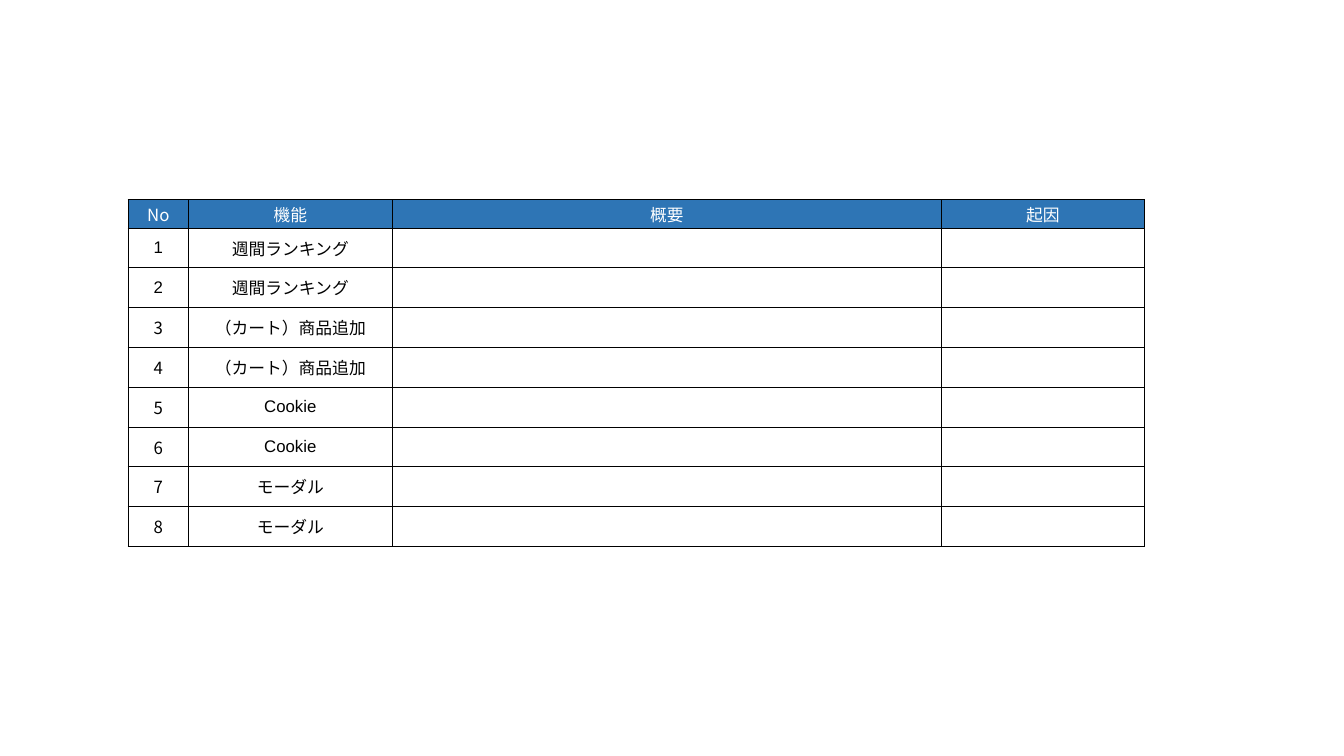
from lxml.etree import SubElement
from pptx import Presentation
from pptx.dml.color import RGBColor
from pptx.enum.text import MSO_ANCHOR, PP_ALIGN
from pptx.oxml.ns import qn
from pptx.util import Inches, Pt

BLUE = RGBColor(0x2E, 0x75, 0xB5)
WHITE = RGBColor(0xFF, 0xFF, 0xFF)
BLACK = RGBColor(0, 0, 0)
SANS = "Arial"
NOTO = "Noto Sans CJK JP"
WIDTHS = (0.6, 2.02, 5.45, 2.01)
HEAD = ("No", "機能", "概要", "起因")
ITEMS = ("週間ランキング", "（カート）商品追加", "Cookie", "モーダル")
HEAD_H = 0.27
BODY_H = 3.16 / 8


def add_edges(cell):
    """Draw a thin black line on each side of a cell."""
    props = cell._tc.get_or_add_tcPr()
    for index, side in enumerate(("lnL", "lnR", "lnT", "lnB")):
        line = props.makeelement(qn(f"a:{side}"), {"w": str(Pt(0.6))})
        fill = SubElement(line, qn("a:solidFill"))
        SubElement(fill, qn("a:srgbClr"), val=str(BLACK))
        props.insert(index, line)


def fill_cell(cell, text, font, color, back=None):
    """Set the text, font, fill and edges of a cell."""
    cell.margin_left = cell.margin_right = Inches(0.03)
    cell.margin_top = cell.margin_bottom = Inches(0.02)
    cell.vertical_anchor = MSO_ANCHOR.MIDDLE
    para = cell.text_frame.paragraphs[0]
    para.text = text
    para.alignment = PP_ALIGN.CENTER
    para.font.name = font
    para.font.size = Pt(12)
    para.font.color.rgb = color
    if back is None:
        cell.fill.background()
    else:
        cell.fill.solid()
        cell.fill.fore_color.rgb = back
    add_edges(cell)


def add_grid(slide, count):
    """Add an unstyled table with a header and body rows."""
    frame = slide.shapes.add_table(
        count + 1, len(WIDTHS), Inches(1.27), Inches(1.98),
        Inches(sum(WIDTHS)), Inches(HEAD_H + count * BODY_H))
    table = frame.table
    table.first_row = table.horz_banding = False
    for column, width in zip(table.columns, WIDTHS):
        column.width = Inches(width)
    for index, row in enumerate(table.rows):
        row.height = Inches(BODY_H if index else HEAD_H)
    return table


def main():
    """Build the slide and save it."""
    deck = Presentation()
    deck.slide_width = Inches(13.33)
    deck.slide_height = Inches(7.5)
    slide = deck.slides.add_slide(deck.slide_layouts[6])
    names = [item for item in ITEMS for _ in range(2)]
    table = add_grid(slide, len(names))
    for col, title in enumerate(HEAD):
        fill_cell(table.cell(0, col), title, NOTO, WHITE, BLUE)
    for row, name in enumerate(names, 1):
        font = SANS if row < 3 else NOTO
        fill_cell(table.cell(row, 0), str(row), font, BLACK, WHITE)
        for col, text in enumerate((name, "", ""), 1):
            fill_cell(table.cell(row, col), text, SANS, BLACK)
    deck.save("out.pptx")


if __name__ == "__main__":
    main()
